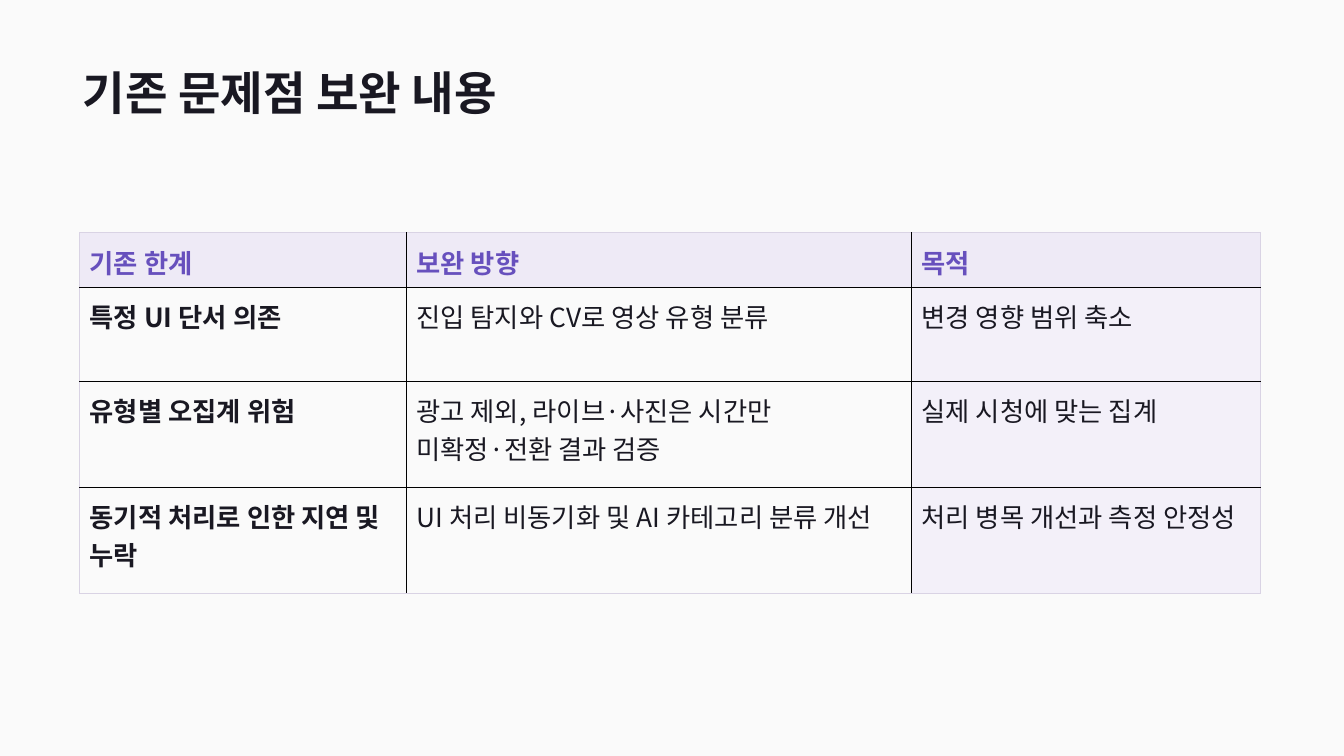
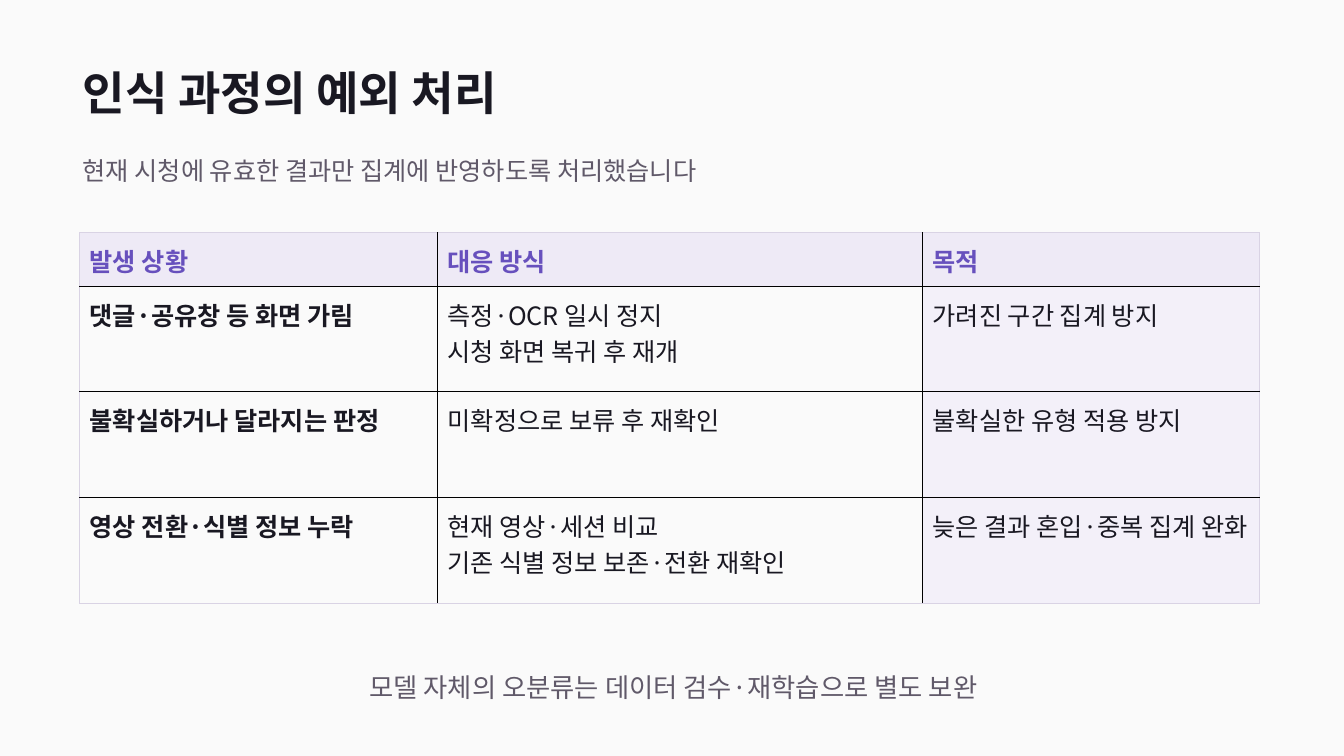
from dataclasses import dataclass

from lxml import etree
from pptx import Presentation
from pptx.dml.color import RGBColor
from pptx.enum.text import MSO_ANCHOR, MSO_AUTO_SIZE, PP_ALIGN
from pptx.oxml.ns import qn
from pptx.util import Inches, Pt

LEFT, CENTER = PP_ALIGN.LEFT, PP_ALIGN.CENTER
TOP, MIDDLE = MSO_ANCHOR.TOP, MSO_ANCHOR.MIDDLE
NO_AUTOFIT = MSO_AUTO_SIZE.NONE
TITLE_ONLY = 5


@dataclass(frozen=True)
class Theme:
    font: str = "Noto Sans CJK KR"
    background: str = "FAFAFA"
    ink: str = "191822"
    muted: str = "605969"
    accent: str = "6750BD"
    header_fill: str = "EEEAF6"
    purpose_fill: str = "F3F0F9"
    outer_border: str = "D9D3E4"
    inner_border: str = "000000"
    border_width: float = 0.75
    title_size: float = 33
    large_size: float = 18.8
    body_size: float = 18
    line_spacing: float = 0.99


THEME = Theme()
TITLE_AREA = (0.82, 0.57, 11.99, 0.72)
SUBTITLE_AREA = (0.82, 1.42, 11.88, 0.57)
FOOTNOTE_AREA = (0.74, 6.57, 11.88, 0.51)
TABLE_LEFT, TABLE_TOP = 0.79, 2.31


def rgb(color):
    return RGBColor.from_string(color)


def place(shape, area):
    shape.left, shape.top, shape.width, shape.height = map(Inches, area)


def write(frame, lines, size, color, bold=False, align=LEFT):
    for index, line in enumerate(lines):
        paragraph = frame.add_paragraph() if index else frame.paragraphs[0]
        paragraph.alignment = align
        paragraph.line_spacing = THEME.line_spacing
        run = paragraph.add_run()
        run.text = line
        font = run.font
        font.size, font.bold = Pt(size), bold
        font.color.rgb = rgb(color)
        font.name = THEME.font
        etree.SubElement(font._element, qn("a:ea"), typeface=THEME.font)


def set_frame(frame, vertical_margin):
    frame.word_wrap = True
    frame.auto_size = NO_AUTOFIT
    frame.vertical_anchor = MIDDLE
    frame.margin_left = frame.margin_right = 0
    frame.margin_top = frame.margin_bottom = Inches(vertical_margin)


def add_titled_slide(prs, title):
    slide = prs.slides.add_slide(prs.slide_layouts[TITLE_ONLY])
    heading = slide.shapes.title
    place(heading, TITLE_AREA)
    set_frame(heading.text_frame, 0.05)
    write(heading.text_frame, [title], THEME.title_size, THEME.ink, True)
    return slide


def add_caption(slide, text, area, size, align=LEFT):
    caption = slide.shapes.add_textbox(*map(Inches, area))
    set_frame(caption.text_frame, 0.03)
    write(caption.text_frame, [text], size, THEME.muted, align=align)


def set_borders(cell, outer_edges):
    properties = cell._tc.get_or_add_tcPr()
    for index, (edge, is_outer) in enumerate(outer_edges.items()):
        line = etree.Element(qn(f"a:{edge}"), w=str(Pt(THEME.border_width)))
        fill = etree.SubElement(line, qn("a:solidFill"))
        color = THEME.outer_border if is_outer else THEME.inner_border
        etree.SubElement(fill, qn("a:srgbClr"), val=color)
        properties.insert(index, line)


def cell_style(row, column):
    if row == 0:
        return THEME.header_fill, THEME.accent, True
    fill = THEME.purpose_fill if column == 2 else THEME.background
    return fill, THEME.ink, column == 0


def add_comparison(slide, content, widths, heights, size):
    area = (TABLE_LEFT, TABLE_TOP, sum(widths), sum(heights))
    frame = slide.shapes.add_table(len(heights), len(widths), *map(Inches, area))
    table = frame.table
    table.first_row = table.horz_banding = False
    for column, width in zip(table.columns, widths):
        column.width = Inches(width)
    for row, height in zip(table.rows, heights):
        row.height = Inches(height)
    last_row, last_column = len(heights) - 1, len(widths) - 1
    for r, texts in enumerate(content):
        for c, text in enumerate(texts):
            cell = table.cell(r, c)
            fill, color, bold = cell_style(r, c)
            cell.fill.solid()
            cell.fill.fore_color.rgb = rgb(fill)
            cell.vertical_anchor = TOP
            cell.margin_left = cell.margin_right = cell.margin_top = Inches(0.1)
            cell.margin_bottom = Inches(0.07)
            write(cell.text_frame, text.split("\n"), size, color, bold)
            set_borders(cell, {"lnL": c == 0, "lnR": c == last_column,
                               "lnT": r == 0, "lnB": r == last_row})


def build_improvements(prs):
    slide = add_titled_slide(prs, "기존 문제점 보완 내용")
    content = [
        ("기존 한계", "보완 방향", "목적"),
        ("특정 UI 단서 의존", "진입 탐지와 CV로 영상 유형 분류", "변경 영향 범위 축소"),
        ("유형별 오집계 위험",
         "광고 제외, 라이브·사진은 시간만\n미확정·전환 결과 검증",
         "실제 시청에 맞는 집계"),
        ("동기적 처리로 인한 지연 및 누락",
         "UI 처리 비동기화 및 AI 카테고리 분류 개선",
         "처리 병목 개선과 측정 안정성"),
    ]
    add_comparison(slide, content, (3.24, 5.01, 3.46),
                   (0.52, 0.93, 1.05, 1.05), THEME.large_size)


def build_exceptions(prs):
    slide = add_titled_slide(prs, "인식 과정의 예외 처리")
    add_caption(slide, "현재 시청에 유효한 결과만 집계에 반영하도록 처리했습니다",
                SUBTITLE_AREA, THEME.body_size)
    content = [
        ("발생 상황", "대응 방식", "목적"),
        ("댓글·공유창 등 화면 가림",
         "측정·OCR 일시 정지\n시청 화면 복귀 후 재개",
         "가려진 구간 집계 방지"),
        ("불확실하거나 달라지는 판정", "미확정으로 보류 후 재확인", "불확실한 유형 적용 방지"),
        ("영상 전환·식별 정보 누락",
         "현재 영상·세션 비교\n기존 식별 정보 보존·전환 재확인",
         "늦은 결과 혼입·중복 집계 완화"),
    ]
    add_comparison(slide, content, (3.55, 4.81, 3.34),
                   (0.52, 1.05, 1.05, 1.05), THEME.body_size)
    add_caption(slide, "모델 자체의 오분류는 데이터 검수·재학습으로 별도 보완",
                FOOTNOTE_AREA, THEME.large_size, CENTER)


def main():
    prs = Presentation()
    prs.slide_width, prs.slide_height = Inches(13.33), Inches(7.5)
    background = prs.slide_master.background.fill
    background.solid()
    background.fore_color.rgb = rgb(THEME.background)
    build_improvements(prs)
    build_exceptions(prs)
    prs.save("out.pptx")


if __name__ == "__main__":
    main()
